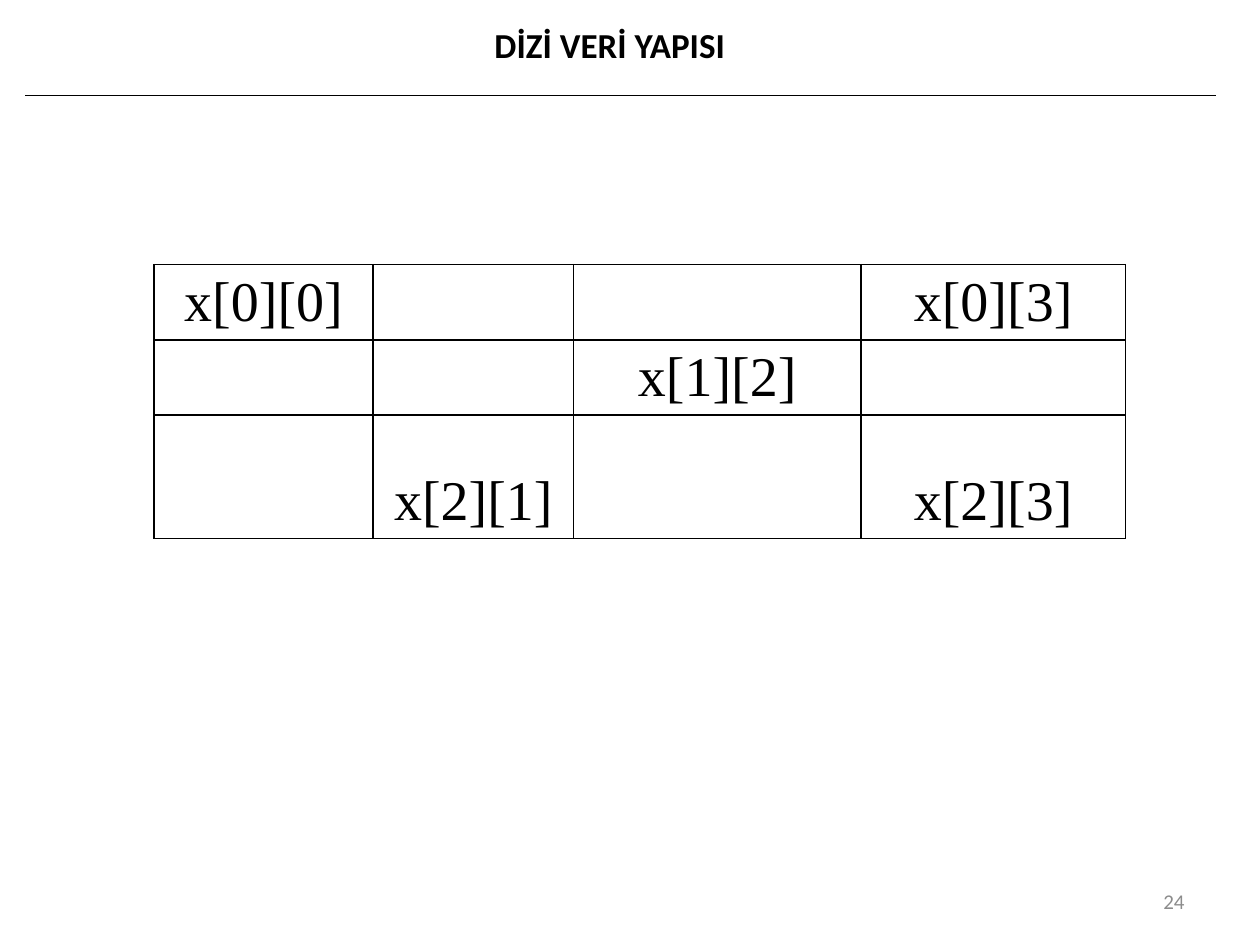
from lxml import etree
from pptx import Presentation
from pptx.dml.color import RGBColor
from pptx.enum.shapes import MSO_CONNECTOR
from pptx.enum.text import MSO_ANCHOR, PP_ALIGN
from pptx.oxml.ns import qn
from pptx.util import Pt

LINE = MSO_CONNECTOR.STRAIGHT
MIDDLE, BOTTOM = MSO_ANCHOR.MIDDLE, MSO_ANCHOR.BOTTOM
CENTER, RIGHT = PP_ALIGN.CENTER, PP_ALIGN.RIGHT

# Content
TITLE = "DİZİ VERİ YAPISI"
PAGE = "24"
GRID = [
    ["x[0][0]", "", "", "x[0][3]"],
    ["", "", "x[1][2]", ""],
    ["", "x[2][1]", "", "x[2][3]"],
]
WIDTHS = [125.3, 114.5, 164.2, 151.2]
HEIGHTS = [43, 43, 70.6]

THEME = {
    "title": ("Calibri", 20, "000000", True),
    "cell": ("Times New Roman", 32, "000000", False),
    "page": ("Calibri", 12, "8C8C8C", False),
    "rule": "000000",
    "rule_pt": 0.75,
    "edge_pt": 1,
}


def write(frame, text, style, align):
    name, size, color, bold = THEME[style]
    frame.text = text
    par = frame.paragraphs[0]
    par.alignment = align
    for run in par.runs:
        font = run.font
        font.name, font.size, font.bold = name, Pt(size), bold
        font.color.rgb = RGBColor.from_string(color)


def border(cell):
    props = cell._tc.get_or_add_tcPr()
    for i, side in enumerate(("lnL", "lnR", "lnT", "lnB")):
        line = etree.Element(qn("a:" + side), w=str(Pt(THEME["edge_pt"])))
        fill = etree.SubElement(line, qn("a:solidFill"))
        etree.SubElement(fill, qn("a:srgbClr"), val=THEME["rule"])
        props.insert(i, line)


def main():
    deck = Presentation()
    deck.slide_width, deck.slide_height = Pt(720), Pt(540)
    slide = deck.slides.add_slide(deck.slide_layouts[5])
    shapes = slide.shapes

    # Title
    title = shapes.title
    title.left, title.top, title.width, title.height = Pt(42.5), Pt(0), Pt(612), Pt(51)
    title.text_frame.vertical_anchor = MIDDLE
    write(title.text_frame, TITLE, "title", CENTER)

    # Rule under the title
    rule = shapes.add_connector(LINE, Pt(14.4), Pt(54.7), Pt(694.8), Pt(54.7))
    rule.line.color.rgb = RGBColor.from_string(THEME["rule"])
    rule.line.width = Pt(THEME["rule_pt"])
    etree.SubElement(rule._element.spPr, qn("a:effectLst"))

    # Array table
    table = shapes.add_table(
        len(GRID), len(WIDTHS), Pt(88), Pt(151.2), Pt(sum(WIDTHS)), Pt(sum(HEIGHTS))
    ).table
    table.first_row = table.horz_banding = False
    for col, width in zip(table.columns, WIDTHS):
        col.width = Pt(width)
    for row, height, texts in zip(table.rows, HEIGHTS, GRID):
        row.height = Pt(height)
        for cell, text in zip(row.cells, texts):
            cell.margin_top, cell.margin_bottom = Pt(2), Pt(3.6)
            cell.vertical_anchor = BOTTOM
            cell.fill.background()
            border(cell)
            if text:
                write(cell.text_frame, text, "cell", CENTER)

    # Page number
    page = shapes.add_textbox(Pt(516), Pt(500.5), Pt(168), Pt(28.8)).text_frame
    page.word_wrap = True
    page.vertical_anchor = MIDDLE
    write(page, PAGE, "page", RIGHT)

    deck.save("out.pptx")


if __name__ == "__main__":
    main()
